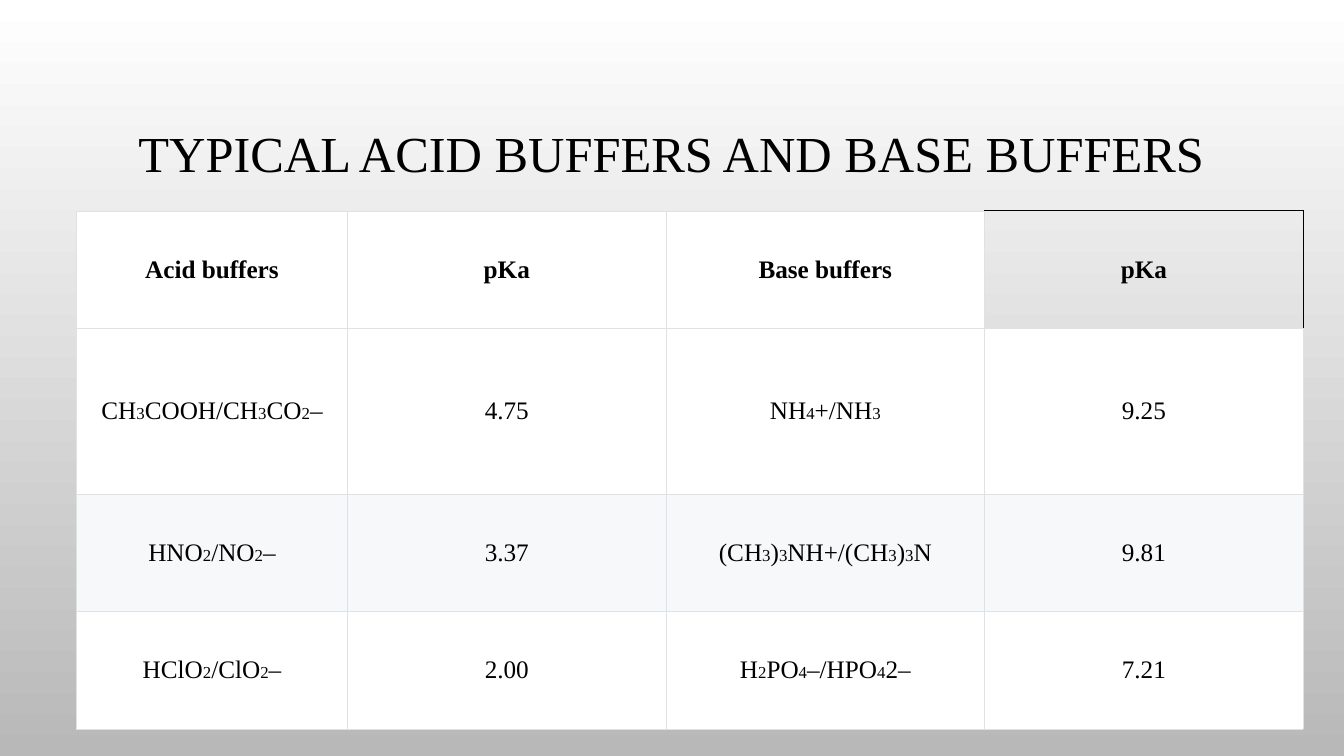
from lxml.etree import SubElement
from pptx import Presentation
from pptx.dml.color import RGBColor
from pptx.enum.text import MSO_ANCHOR as Anchor, PP_ALIGN as Align
from pptx.oxml.ns import qn
from pptx.util import Cm, Pt

FONT = "Times New Roman"
BLACK, WHITE, BAND, GRID = "000000", "FFFFFF", "F6F8FA", "DFE2E5"
COLUMN_WIDTHS = [6.83, 8.03, 8.03, 8.03]
ROW_HEIGHTS = [2.96, 4.18, 2.96, 2.96]
ROW_FILLS = [WHITE, WHITE, BAND, WHITE]
BUFFERS = [
    ["Acid buffers", "pKa", "Base buffers", "pKa"],
    ["CH_3COOH/CH_3CO_2–", "4.75", "NH_4+/NH_3", "9.25"],
    ["HNO_2/NO_2–", "3.37", "(CH_3)_3NH+/(CH_3)_3N", "9.81"],
    ["HClO_2/ClO_2–", "2.00", "H_2PO_4–/HPO_42–", "7.21"],
]


def color(hex_code):
    """Turn a hex string into a colour."""
    return RGBColor.from_string(hex_code)


def apply(target, formats):
    """Set each attribute named in a dict of format values."""
    for name, value in formats.items():
        setattr(target, name, value)


def add_run(paragraph, text, size, bold=False):
    """Append a run in the slide's font."""
    run = paragraph.add_run()
    run.text = text
    apply(run.font, {"name": FONT, "size": Pt(size), "bold": bold})
    run.font.color.rgb = color(BLACK)


def add_formula(paragraph, formula, bold):
    """Write a formula, making the character after each underscore small."""
    head, *tails = formula.split("_")
    add_run(paragraph, head, 18, bold)
    for tail in tails:
        add_run(paragraph, tail[0], 12, bold)
        if tail[1:]:
            add_run(paragraph, tail[1:], 18, bold)


def set_borders(cell, borders):
    """Draw the cell's borders from a dict of side to colour and points."""
    properties = cell._tc.get_or_add_tcPr()
    for side, (hex_code, points) in borders.items():
        line = SubElement(properties, qn(f"a:ln{side}"), w=str(Pt(points)))
        fill = SubElement(line, qn("a:solidFill"))
        SubElement(fill, qn("a:srgbClr"), val=hex_code)


def fill_cell(cell, formula, fill, header, plain):
    """Format one table cell and write its formula."""
    side_margin = Cm(0.25 if plain else 0.36)
    apply(cell, {"vertical_anchor": Anchor.MIDDLE,
                 "margin_left": side_margin, "margin_right": side_margin,
                 "margin_top": Cm(0.13), "margin_bottom": Cm(0.13)})
    borders = dict.fromkeys("LRTB", (GRID, 0.34))
    if plain:
        borders.update(dict.fromkeys("RT", (BLACK, 0.45)))
    set_borders(cell, borders)
    if plain:
        cell.fill.background()
    else:
        cell.fill.solid()
        cell.fill.fore_color.rgb = color(fill)
    paragraph = cell.text_frame.paragraphs[0]
    paragraph.alignment = Align.CENTER
    add_formula(paragraph, formula, header)


def add_buffer_table(slide):
    """Add the table of buffers and their pKa values."""
    table = slide.shapes.add_table(
        len(ROW_HEIGHTS), len(COLUMN_WIDTHS), Cm(1.93), Cm(5.31),
        Cm(sum(COLUMN_WIDTHS)), Cm(sum(ROW_HEIGHTS))).table
    apply(table, {"first_row": False, "horz_banding": False})
    for column, width in zip(table.columns, COLUMN_WIDTHS):
        column.width = Cm(width)
    for r, (height, fill, formulas) in enumerate(
            zip(ROW_HEIGHTS, ROW_FILLS, BUFFERS)):
        table.rows[r].height = Cm(height)
        for c, formula in enumerate(formulas):
            plain = r == 0 and c == len(formulas) - 1
            fill_cell(table.cell(r, c), formula, fill, r == 0, plain)


def add_title(slide, text):
    """Add the centred slide title."""
    frame = slide.shapes.add_textbox(
        Cm(2.54), Cm(1.73), Cm(28.78), Cm(4.42)).text_frame
    apply(frame, {"word_wrap": True, "vertical_anchor": Anchor.MIDDLE})
    paragraph = frame.paragraphs[0]
    apply(paragraph, {"alignment": Align.CENTER, "line_spacing": 0.9})
    add_run(paragraph, text, 36)


def set_background(slide, top, bottom):
    """Give the slide a gradient running from top to bottom."""
    fill = slide.background.fill
    fill.gradient()
    fill.gradient_angle = 270
    for stop, position, hex_code in zip(
            fill.gradient_stops, (0, 1), (top, bottom)):
        stop.position = position
        stop.color.rgb = color(hex_code)


def main():
    """Build and save the slide."""
    deck = Presentation()
    apply(deck, {"slide_width": Cm(33.88), "slide_height": Cm(19.05)})
    slide = deck.slides.add_slide(deck.slide_layouts[6])
    set_background(slide, WHITE, "B8B8B8")
    add_buffer_table(slide)
    add_title(slide, "TYPICAL ACID BUFFERS AND BASE BUFFERS")
    deck.save("out.pptx")


if __name__ == "__main__":
    main()
